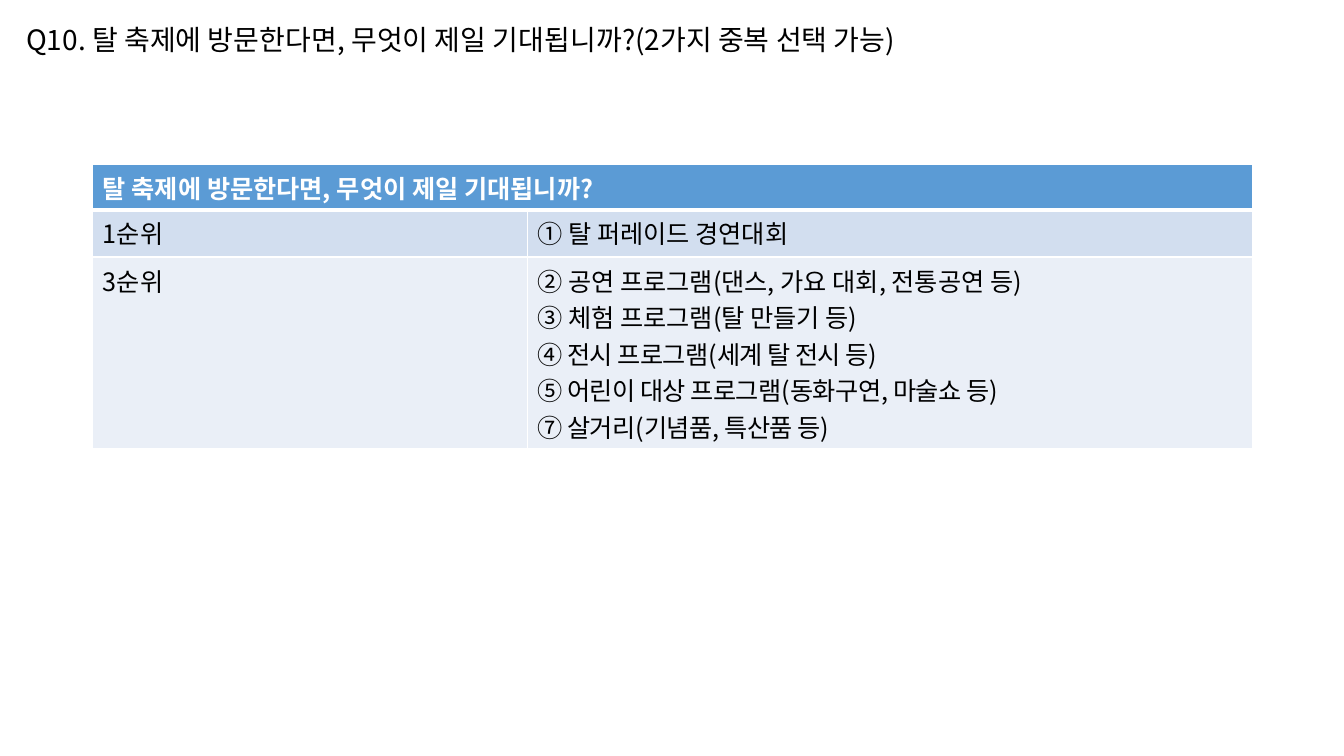
from lxml.etree import SubElement
from pptx import Presentation
from pptx.dml.color import RGBColor
from pptx.enum.text import MSO_ANCHOR as Anchor, MSO_AUTO_SIZE as Auto, PP_ALIGN as Align
from pptx.oxml.ns import qn
from pptx.util import Inches, Pt

FONT = "Noto Sans CJK KR"
ASK = "탈 축제에 방문한다면, 무엇이 제일 기대됩니까?"
RANKS = [
    ("1순위", ["① 탈 퍼레이드 경연대회"], "D2DEEF"),
    ("3순위", [
        "② 공연 프로그램(댄스, 가요 대회, 전통공연 등)",
        "③ 체험 프로그램(탈 만들기 등)",
        "④ 전시 프로그램(세계 탈 전시 등)",
        "⑤ 어린이 대상 프로그램(동화구연, 마술쇼 등)",
        "⑦ 살거리(기념품, 특산품 등)",
    ], "EAEFF7"),
]
TIGHT = "④⑤⑦"
WIDTHS = (4.31, 7.19)
HEIGHTS = (0.45, 0.47, 1.9)


def paint(item, color):
    item.rgb = RGBColor.from_string(color)


def write(frame, lines, size, color="000000", bold=False):
    frame.text = "\n".join(lines)
    for para in frame.paragraphs:
        para.alignment = Align.LEFT
        font = para.font
        font.size, font.bold, font.name = Pt(size), bold, FONT
        font.fill.solid()
        paint(font.fill.fore_color, color)
        props = para._p.pPr.find(qn("a:defRPr"))
        props.set("kern", "0")
        SubElement(props, qn("a:ea"), typeface=FONT)
        if para.text[0] in TIGHT:
            props.set("spc", "-40")


def edge(cell, base):
    props = cell._tc.get_or_add_tcPr()
    for index, (side, width) in enumerate(zip("LRTB", (1, 1, 1, base))):
        line = SubElement(props, qn(f"a:ln{side}"), w=str(Pt(width)))
        fill = SubElement(line, qn("a:solidFill"))
        SubElement(fill, qn("a:srgbClr"), val="FFFFFF")
        props.insert(index, line)


def shade(row, color, base=1):
    for cell in row.cells:
        cell.fill.solid()
        paint(cell.fill.fore_color, color)
        edge(cell, base)


def add_title(slide):
    title = slide.shapes.title
    title.left, title.top = Inches(0.16), Inches(0.17)
    title.width, title.height = Inches(9.76), Inches(0.44)
    frame = title.text_frame
    write(frame, [f"Q10. {ASK}(2가지 중복 선택 가능)"], 20)
    frame.word_wrap = False
    frame.auto_size = Auto.SHAPE_TO_FIT_TEXT
    frame.vertical_anchor = Anchor.TOP


def add_ranks(slide):
    table = slide.shapes.add_table(
        len(HEIGHTS), len(WIDTHS), Inches(0.92), Inches(1.63),
        Inches(sum(WIDTHS)), Inches(sum(HEIGHTS)),
    ).table
    for col, width in zip(table.columns, WIDTHS):
        col.width = Inches(width)
    for row, height in zip(table.rows, HEIGHTS):
        row.height = Inches(height)
    head = table.cell(0, 0)
    head.merge(table.cell(0, 1))
    shade(table.rows[0], "5B9BD5", 3)
    write(head.text_frame, [ASK], 18, "FFFFFF", True)
    for index, (rank, items, color) in enumerate(RANKS, 1):
        row = table.rows[index]
        shade(row, color)
        write(row.cells[0].text_frame, [rank], 18)
        write(row.cells[1].text_frame, items, 18)


def main():
    """Build the festival survey slide with its ranking table."""
    deck = Presentation()
    deck.slide_width, deck.slide_height = Inches(13.33), Inches(7.5)
    slide = deck.slides.add_slide(deck.slide_layouts[5])
    add_title(slide)
    add_ranks(slide)
    deck.save("out.pptx")


if __name__ == "__main__":
    main()
